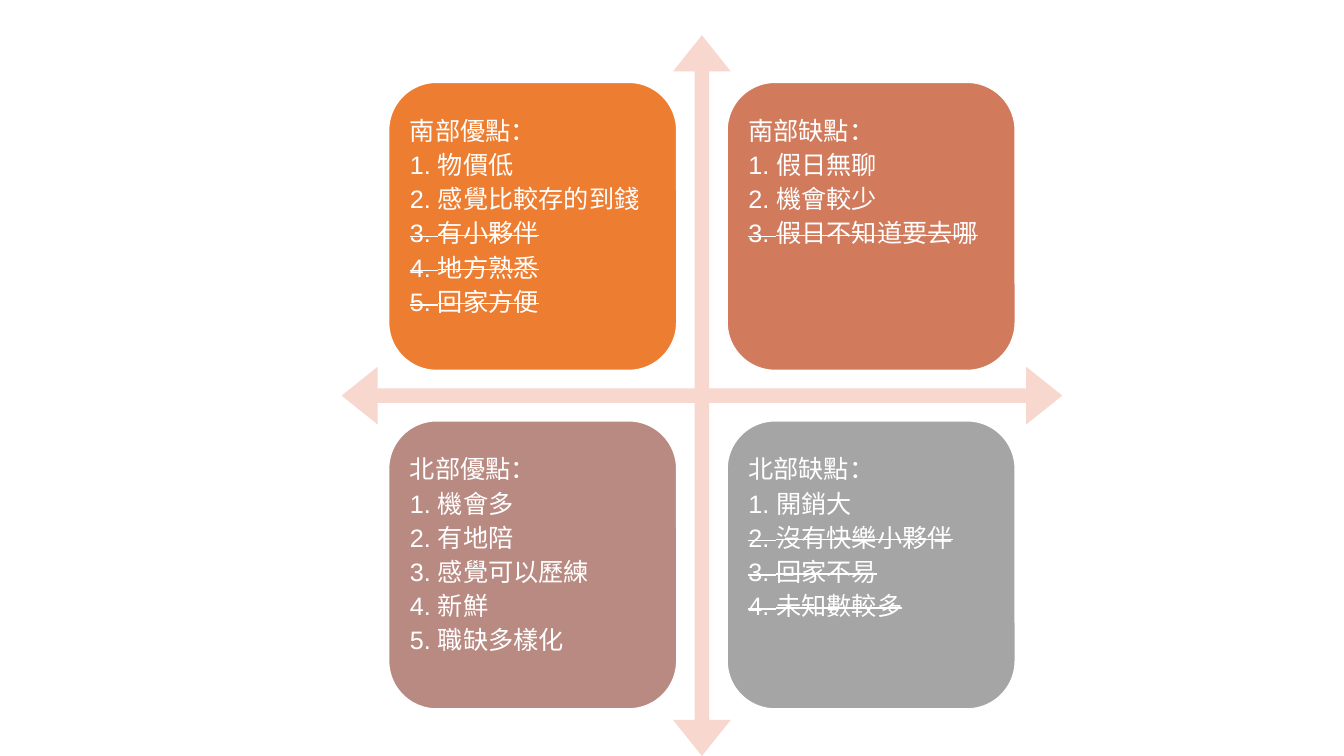
from pptx import Presentation
from pptx.dml.color import RGBColor
from pptx.enum.shapes import MSO_SHAPE
from pptx.enum.text import MSO_ANCHOR, PP_ALIGN
from pptx.util import Cm, Pt

QUAD_ARROW, ROUND_RECT = MSO_SHAPE.QUAD_ARROW, MSO_SHAPE.ROUNDED_RECTANGLE
TOP, LEFT = MSO_ANCHOR.TOP, PP_ALIGN.LEFT

THEME = {
    "font": "Arial",
    "size": Pt(18),
    "space_after": Pt(5),
    "white": RGBColor.from_string("FFFFFF"),
    "arrow": RGBColor.from_string("F8D7CE"),
    "cards": [RGBColor.from_string(c) for c in ("ED7D31", "D17B5C", "B98A82", "A5A5A5")],
}

QUADRANTS = [
    ("南部優點：", ["物價低", "感覺比較存的到錢"], ["有小夥伴", "地方熟悉", "回家方便"]),
    ("南部缺點：", ["假日無聊", "機會較少"], ["假日不知道要去哪"]),
    ("北部優點：", ["機會多", "有地陪", "感覺可以歷練", "新鮮", "職缺多樣化"], []),
    ("北部缺點：", ["開銷大"], ["沒有快樂小夥伴", "回家不易", "未知數較多"]),
]

ARROW_LEFT, ARROW_TOP, ARROW_SIZE = 8.61, 0.89, 18.16
CARD_SIZE, CARD_STEP = 7.26, 8.53
MARGIN = (ARROW_SIZE - CARD_SIZE - CARD_STEP) / 2

prs = Presentation()
prs.slide_width, prs.slide_height = Cm(33.87), Cm(19.05)
s = prs.slides.add_slide(prs.slide_layouts[6])


def add_filled(kind, left, top, size, color):
    sp = s.shapes.add_shape(kind, Cm(left), Cm(top), Cm(size), Cm(size))
    sp.shadow.inherit = False
    sp.fill.solid()
    sp.fill.fore_color.rgb = color
    return sp


arrow = add_filled(QUAD_ARROW, ARROW_LEFT, ARROW_TOP, ARROW_SIZE, THEME["arrow"])
arrow.line.fill.background()
for i, value in enumerate((0.02, 0.04, 0.05)):
    arrow.adjustments[i] = value

for i, (heading, kept, struck) in enumerate(QUADRANTS):
    row, col = divmod(i, 2)
    card = add_filled(ROUND_RECT, ARROW_LEFT + MARGIN + col * CARD_STEP,
                      ARROW_TOP + MARGIN + row * CARD_STEP, CARD_SIZE, THEME["cards"][i])
    card.line.color.rgb = THEME["white"]
    card.line.width = Pt(1)

    tf = card.text_frame
    tf.word_wrap = True
    tf.vertical_anchor = TOP
    tf.margin_left = tf.margin_right = tf.margin_bottom = Cm(0.18)
    tf.margin_top = Cm(0.56)
    items = [f"{n}. {item}" for n, item in enumerate(kept + struck, 1)]
    tf.text = "\n".join([heading] + items)
    for n, p in enumerate(tf.paragraphs):
        p.alignment = LEFT
        p.line_spacing = 0.9
        p.space_after = THEME["space_after"]
        r = p.runs[0]
        r.font.name = THEME["font"]
        r.font.size = THEME["size"]
        r.font.color.rgb = THEME["white"]
        if n > len(kept):
            r.font._element.set("strike", "sngStrike")

prs.save("out.pptx")
